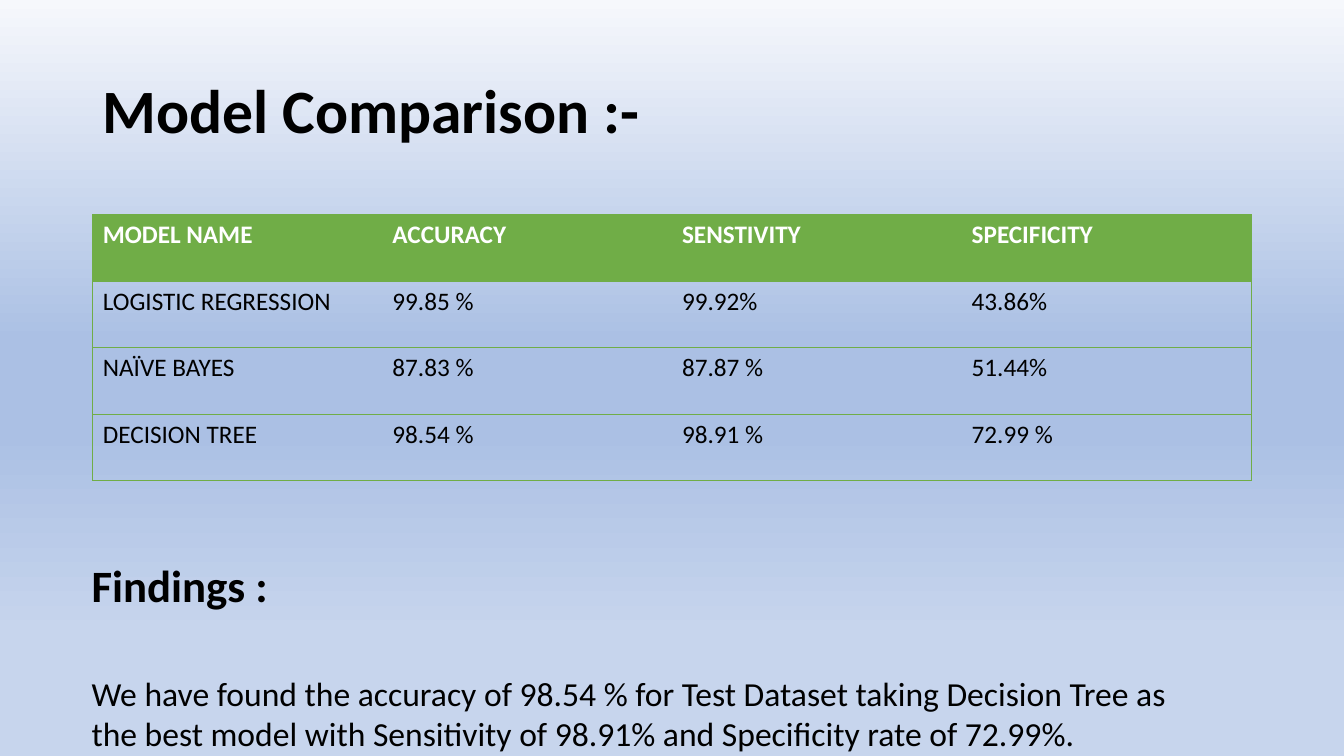
"""Build the model comparison slide with its results table and findings."""
from lxml.etree import SubElement
from pptx import Presentation
from pptx.dml.color import RGBColor
from pptx.enum.text import MSO_ANCHOR
from pptx.oxml.ns import qn
from pptx.util import Inches, Pt

TITLE = "Model Comparison :-"
RESULTS = [
    ("MODEL NAME", "ACCURACY", "SENSTIVITY", "SPECIFICITY"),
    ("LOGISTIC REGRESSION", "99.85 %", "99.92%", "43.86%"),
    ("NAÏVE BAYES", "87.83 %", "87.87 %", "51.44%"),
    ("DECISION TREE", "98.54 %", "98.91 %", "72.99 %"),
]
FINDINGS_HEADING = "Findings :"
FINDINGS = (
    "We have found the accuracy of 98.54 % for Test Dataset taking Decision Tree as "
    "the best model with Sensitivity of 98.91% and Specificity rate of 72.99%."
)

BLACK = RGBColor(0x00, 0x00, 0x00)
WHITE = RGBColor(0xFF, 0xFF, 0xFF)
GREEN = RGBColor(0x70, 0xAD, 0x47)
SKY = [
    (0, RGBColor(0xF6, 0xF8, 0xFC)),
    (45, RGBColor(0xAB, 0xC0, 0xE4)),
    (57, RGBColor(0xAB, 0xC0, 0xE4)),
    (84, RGBColor(0xC7, 0xD5, 0xED)),
]
FONT = "Calibri"
NO_STYLE = "{2D5ABB26-0587-4C30-8999-92F81FD0307C}"

WIDTH, HEIGHT = Inches(13.33), Inches(7.5)
MARGIN = Inches(0.92)
CONTENT_WIDTH = WIDTH - 2 * MARGIN
ROW_HEIGHT = Inches(0.66)


def write(paragraph, text, size=18, bold=False, color=BLACK, before=0, spacing=1.0):
    paragraph.space_before = Pt(before)
    paragraph.line_spacing = spacing
    run = paragraph.add_run()
    run.text = text
    run.font.name = FONT
    run.font.size = Pt(size)
    run.font.bold = bold
    run.font.color.rgb = color


def add_text_frame(slide, left, top, width, height, anchor=MSO_ANCHOR.TOP):
    frame = slide.shapes.add_textbox(left, top, width, height).text_frame
    frame.word_wrap = True
    frame.vertical_anchor = anchor
    return frame


def paint_background(slide):
    fill = slide.background.fill
    fill.gradient()
    fill.gradient_angle = 270
    stops = slide.background._cSld.find(".//" + qn("a:gsLst"))
    stops.clear()
    for share, color in SKY:
        stop = SubElement(stops, qn("a:gs"), pos=str(share * 1000))
        SubElement(stop, qn("a:srgbClr"), val=str(color))


def add_border(cell, side):
    line = SubElement(cell._tc.get_or_add_tcPr(), qn("a:ln" + side), w=str(Pt(0.5)))
    SubElement(SubElement(line, qn("a:solidFill")), qn("a:srgbClr"), val=str(GREEN))


def add_results(slide):
    columns = len(RESULTS[0])
    table = slide.shapes.add_table(
        len(RESULTS), columns, MARGIN, Inches(2.13),
        CONTENT_WIDTH, ROW_HEIGHT * len(RESULTS),
    ).table
    table.horz_banding = False
    table._tbl.tblPr.find(qn("a:tableStyleId")).text = NO_STYLE
    for r, values in enumerate(RESULTS):
        header = r == 0
        for c, value in enumerate(values):
            cell = table.cell(r, c)
            sides = ("L" if c == 0 else "") + ("R" if c == columns - 1 else "") + "TB"
            for side in sides:
                add_border(cell, side)
            if header:
                cell.fill.solid()
                cell.fill.fore_color.rgb = GREEN
            else:
                cell.fill.background()
            write(cell.text_frame.paragraphs[0], value, bold=header,
                  color=WHITE if header else BLACK)


def main():
    deck = Presentation()
    deck.slide_width, deck.slide_height = WIDTH, HEIGHT
    slide = deck.slides.add_slide(deck.slide_layouts[6])
    paint_background(slide)

    title = add_text_frame(slide, MARGIN, Inches(0.4), CONTENT_WIDTH, Inches(1.45),
                           anchor=MSO_ANCHOR.MIDDLE)
    write(title.paragraphs[0], TITLE, size=44, bold=True, spacing=0.9)

    add_results(slide)

    findings = add_text_frame(slide, Inches(0.81), Inches(5.48), Inches(11.33), Inches(2.05))
    write(findings.paragraphs[0], FINDINGS_HEADING, size=32, bold=True)
    write(findings.add_paragraph(), FINDINGS, size=24, before=44)

    deck.save("out.pptx")


if __name__ == "__main__":
    main()
